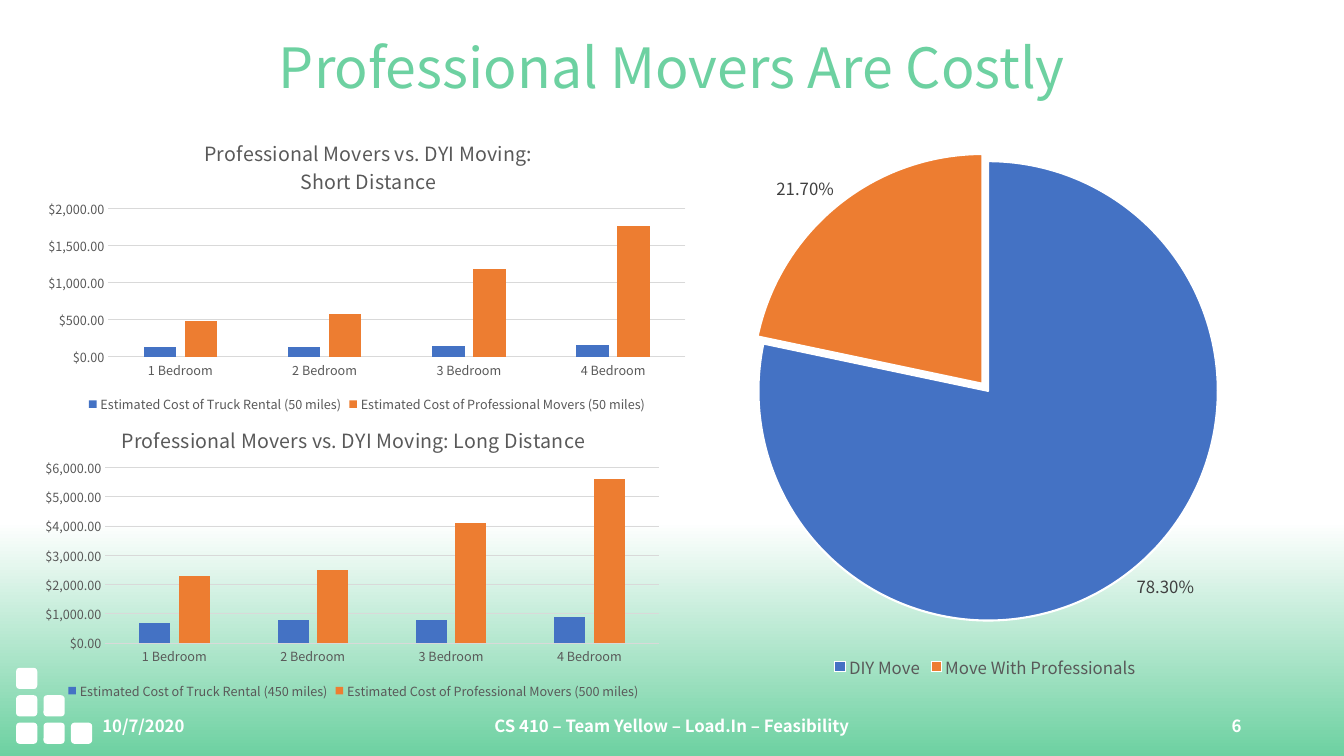
from lxml import etree
from pptx import Presentation
from pptx.chart.data import CategoryChartData
from pptx.dml.color import RGBColor
from pptx.enum.chart import XL_CHART_TYPE, XL_LABEL_POSITION, XL_LEGEND_POSITION, XL_TICK_MARK
from pptx.enum.shapes import MSO_SHAPE
from pptx.enum.text import MSO_ANCHOR, PP_ALIGN
from pptx.oxml.ns import qn
from pptx.util import Pt

COLUMNS = XL_CHART_TYPE.COLUMN_CLUSTERED
PIE = XL_CHART_TYPE.PIE
BOTTOM = XL_LEGEND_POSITION.BOTTOM
OUTSIDE = XL_LABEL_POSITION.OUTSIDE_END
NO_TICK = XL_TICK_MARK.NONE
ROUNDED = MSO_SHAPE.ROUNDED_RECTANGLE
MIDDLE = MSO_ANCHOR.MIDDLE
LEFT, CENTER, RIGHT = PP_ALIGN.LEFT, PP_ALIGN.CENTER, PP_ALIGN.RIGHT

GREEN = RGBColor(0x6D, 0xD1, 0xA1)
WHITE = RGBColor(0xFF, 0xFF, 0xFF)
BLUE = RGBColor(0x44, 0x72, 0xC4)
ORANGE = RGBColor(0xED, 0x7D, 0x31)
BLACK = RGBColor(0x00, 0x00, 0x00)
GRAY = RGBColor(0x59, 0x59, 0x59)
DARK_GRAY = RGBColor(0x40, 0x40, 0x40)
GRID_GRAY = RGBColor(0xD9, 0xD9, 0xD9)

FONT = "Noto Sans CJK KR"
BEDROOMS = ["1 Bedroom", "2 Bedroom", "3 Bedroom", "4 Bedroom"]


def set_all(target, formats):
    for attribute, value in formats.items():
        setattr(target, attribute, value)


def style_font(font, size, color, bold=False):
    set_all(font, {"name": FONT, "size": Pt(size), "bold": bold})
    font.color.rgb = color


def set_layout(parent, index, **fractions):
    for old in parent.findall(qn("c:layout")):
        parent.remove(old)
    layout = etree.Element(qn("c:layout"))
    manual = etree.SubElement(layout, qn("c:manualLayout"))
    settings = {"xMode": "edge", "yMode": "edge", **fractions}
    if "w" in fractions:
        settings = {"layoutTarget": "inner", **settings}
    for tag, value in settings.items():
        etree.SubElement(manual, qn(f"c:{tag}")).set("val", str(value))
    parent.insert(index, layout)


def add_background(slide):
    fill = slide.background.fill
    fill.gradient()
    fill.gradient_angle = 90
    for stop, position, color in zip(fill.gradient_stops, (0, 0.31), (GREEN, WHITE)):
        stop.position = position
        stop.color.rgb = color


def add_staircase(slide, left, top, side, pitch):
    for column in range(3):
        for row in range(column, 3):
            block = slide.shapes.add_shape(
                ROUNDED, Pt(left + column * pitch), Pt(top + row * pitch), Pt(side), Pt(side))
            block.shadow.inherit = False
            block.fill.solid()
            block.fill.fore_color.rgb = WHITE
            block.line.fill.background()


def add_line_of_text(slide, box, text, align, size, color, bold=False, spacing=1.0):
    frame = slide.shapes.add_textbox(*map(Pt, box)).text_frame
    set_all(frame, {"word_wrap": True, "vertical_anchor": MIDDLE})
    paragraph = frame.paragraphs[0]
    set_all(paragraph, {"text": text, "alignment": align, "line_spacing": spacing})
    style_font(paragraph.runs[0].font, size, color, bold)


def add_footer(slide, left, top, width, height):
    entries = [
        (left, 216, "10/7/2020", LEFT),
        (left + (width - 324) / 2, 324, "CS 410 – Team Yellow – Load.In – Feasibility", CENTER),
        (left + width - 216, 216, "6", RIGHT),
    ]
    for x, entry_width, text, align in entries:
        add_line_of_text(slide, (x, top, entry_width, height), text, align, 12, WHITE, True)


def add_chart(slide, box, kind, categories, series, number_format, legend_size, plot_area):
    data = CategoryChartData(number_format=number_format)
    data.categories = categories
    for name, values in series:
        data.add_series(name, values)
    chart = slide.shapes.add_chart(kind, *map(Pt, box), data).chart
    style_font(chart.font, 10, BLACK)
    set_all(chart, {"has_title": False, "has_legend": True})
    set_all(chart.legend, {"position": BOTTOM, "include_in_layout": False})
    style_font(chart.legend.font, legend_size, GRAY)
    set_layout(chart.element.find(".//" + qn("c:plotArea")), 0, **plot_area)
    return chart


def add_cost_chart(slide, box, title_lines, title_spot, series, top_value, step, plot_area):
    chart = add_chart(slide, box, COLUMNS, BEDROOMS, series, '"$"#,##0.00', 9, plot_area)
    chart.has_title = True
    frame = chart.chart_title.text_frame
    for index, line in enumerate(title_lines):
        paragraph = frame.add_paragraph() if index else frame.paragraphs[0]
        set_all(paragraph, {"text": line, "alignment": CENTER})
        style_font(paragraph.runs[0].font, 14, GRAY)
    set_layout(chart.chart_title.element, 1, **title_spot)

    plot = chart.plots[0]
    set_all(plot, {"gap_width": 219, "overlap": -27, "vary_by_categories": False})
    for bars, color in zip(plot.series, (BLUE, ORANGE)):
        bars.format.fill.solid()
        bars.format.fill.fore_color.rgb = color

    costs, bedrooms = chart.value_axis, chart.category_axis
    for axis in (costs, bedrooms):
        set_all(axis, {"major_tick_mark": NO_TICK, "minor_tick_mark": NO_TICK})
        style_font(axis.tick_labels.font, 9, GRAY)
    set_all(costs, {"minimum_scale": 0, "maximum_scale": top_value,
                    "major_unit": step, "has_major_gridlines": True})
    set_all(costs.tick_labels, {"number_format": '"$"#,##0.00', "number_format_is_linked": False})
    costs.format.line.fill.background()
    for line in (costs.major_gridlines.format.line, bedrooms.format.line):
        line.color.rgb = GRID_GRAY
        line.width = Pt(0.75)


def add_share_pie(slide, box):
    chart = add_chart(slide, box, PIE, ["DIY Move", "Move With Professionals"],
                      [("Series 1", (0.783, 0.217))], "0.00%", 12,
                      {"x": 0.09, "y": 0.03, "w": 0.82, "h": 0.86})
    plot = chart.plots[0]
    plot.vary_by_categories = True
    shares = plot.series[0]
    for index, color in enumerate((BLUE, ORANGE)):
        slice_format = shares.points[index].format
        slice_format.fill.solid()
        slice_format.fill.fore_color.rgb = color
        slice_format.line.color.rgb = WHITE
        slice_format.line.width = Pt(1.5)
    explosion = etree.Element(qn("c:explosion"), val="2")
    shares.points[0].format
    shares.format.fill
    shares_xml = chart.element.find(".//" + qn("c:ser"))
    shares_xml.find(qn("c:dPt")).addprevious(explosion)
    labels = shares.data_labels
    set_all(labels, {"show_value": True, "show_percentage": False, "position": OUTSIDE,
                     "number_format": "0.00%", "number_format_is_linked": False})
    style_font(labels.font, 12, DARK_GRAY)


def main():
    presentation = Presentation()
    set_all(presentation, {"slide_width": Pt(960), "slide_height": Pt(540)})
    slide = presentation.slides.add_slide(presentation.slide_layouts[6])
    add_background(slide)
    add_staircase(slide, 11.5, 477, 15.1, 19.6)
    add_line_of_text(slide, (66, 28.8, 828, 42.5), "Professional Movers Are Costly",
                     CENTER, 39.6, GREEN, spacing=0.9)
    add_footer(slide, 66, 496.8, 828, 43.2)
    add_cost_chart(
        slide, (25.2, 82, 473.8, 216),
        ["Professional Movers vs. DYI Moving:", "Short Distance"], {"x": 0.25, "y": 0.06},
        [("Estimated Cost of Truck Rental (50 miles)", (130, 130, 140, 160)),
         ("Estimated Cost of Professional Movers (50 miles)", (480, 580, 1180, 1770))],
        2000, 500, {"x": 0.11, "y": 0.31, "w": 0.87, "h": 0.49})
    add_cost_chart(
        slide, (25.2, 286.6, 454.3, 216),
        ["Professional Movers vs. DYI Moving: Long Distance"], {"x": 0.13, "y": 0.06},
        [("Estimated Cost of Truck Rental (450 miles)", (700, 800, 800, 900)),
         ("Estimated Cost of Professional Movers (500 miles)", (2300, 2500, 4100, 5600))],
        6000, 1000, {"x": 0.11, "y": 0.22, "w": 0.87, "h": 0.58})
    add_share_pie(slide, (499.7, 96.5, 408.2, 391.7))
    presentation.save("out.pptx")


if __name__ == "__main__":
    main()
